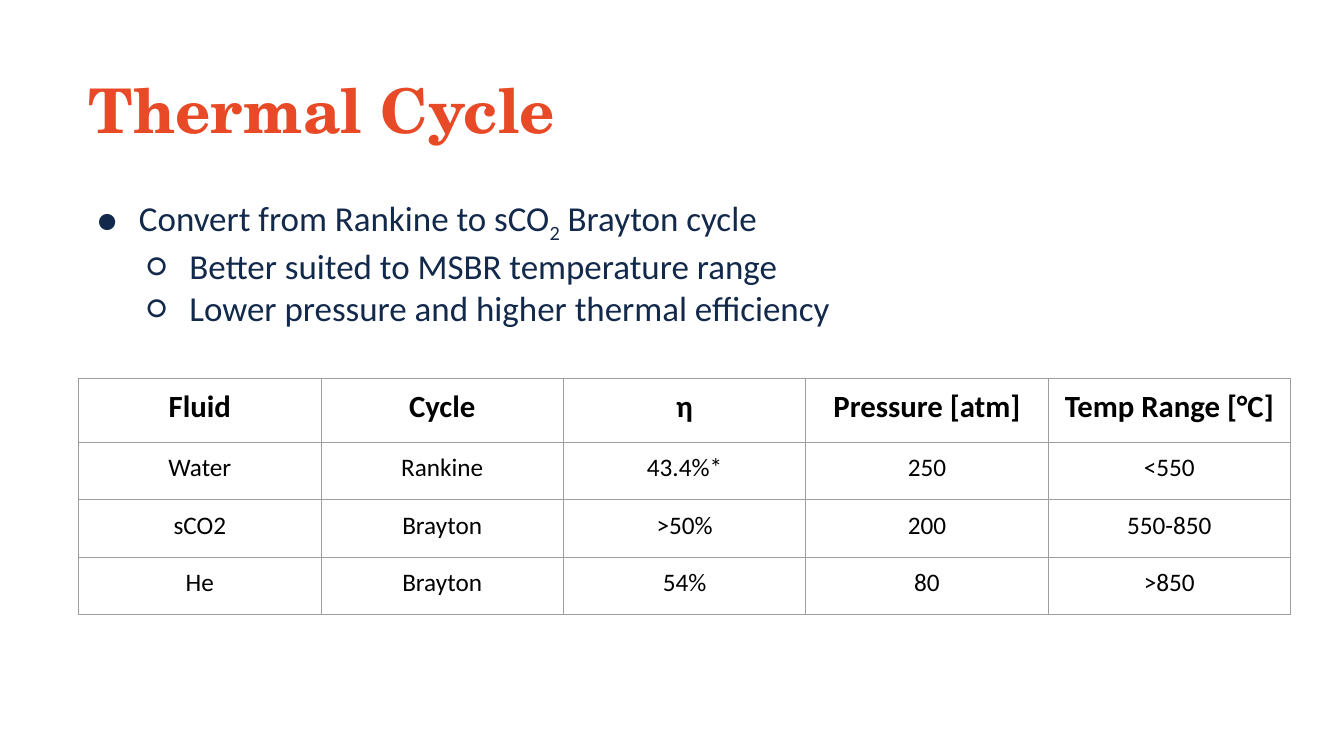
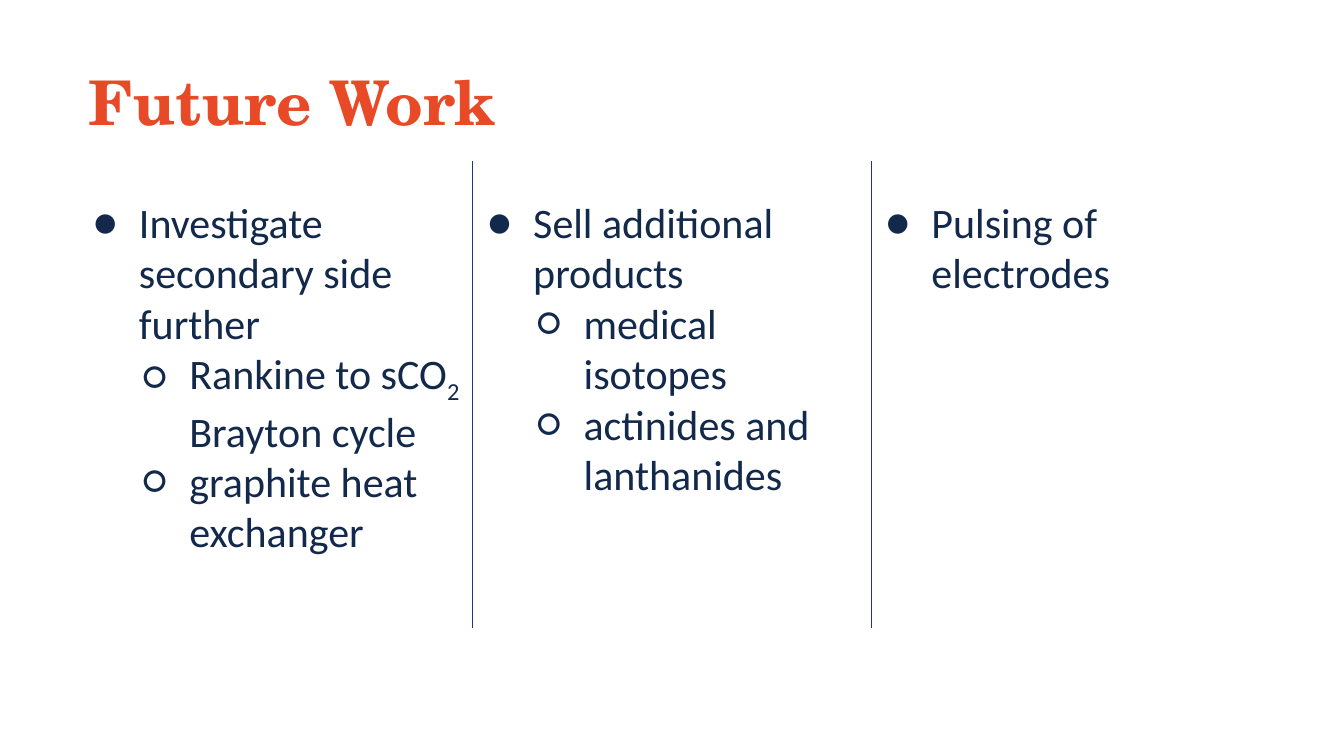
from dataclasses import dataclass

import pptx
import pptx.dml.color
import pptx.enum.shapes
import pptx.enum.text
import pptx.oxml.ns
import pptx.util
from lxml import etree

Inches, Pt = pptx.util.Inches, pptx.util.Pt
qn = pptx.oxml.ns.qn


@dataclass(frozen=True)
class Theme:
    """Colours, fonts and type sizes shared by the slides."""
    title_font: str = "TeX Gyre Schola"
    body_font: str = "Calibri"
    orange: str = "E84A27"
    navy: str = "13294B"
    divider: str = "1E3877"
    black: str = "000000"
    grid: str = "9E9E9E"
    title_size: int = 44
    list_size: int = 25
    column_size: int = 30
    header_size: int = 22
    cell_size: int = 18
    rule_width: float = 0.75


@dataclass(frozen=True)
class Box:
    """A rectangle in inches."""
    left: float
    top: float
    width: float
    height: float

    def emu(self):
        """Return the rectangle as lengths for python-pptx."""
        return [Inches(n) for n in (self.left, self.top, self.width, self.height)]


THEME = Theme()
SLIDE_WIDTH, SLIDE_HEIGHT = 13.33, 7.5
MARGIN, CONTENT_WIDTH, BODY_TOP = 0.78, 12.02, 1.85
BULLETS = "●○"


def rgb(value):
    """Turn a hex string into a colour."""
    return pptx.dml.color.RGBColor.from_string(value)


def style(run, font, size, color, bold=False):
    """Format one run."""
    run.font.name = font
    run.font.size = Pt(size)
    run.font.bold = bold
    run.font.color.rgb = rgb(color)


def add_frame(slide, box, vertical_inset):
    """Add a wrapping text box and return its text frame."""
    frame = slide.shapes.add_textbox(*box.emu()).text_frame
    frame.word_wrap = True
    frame.margin_left = frame.margin_right = Inches(0.1)
    frame.margin_top = frame.margin_bottom = Inches(vertical_inset)
    return frame


def add_title(slide, text, top):
    """Place the slide title."""
    frame = add_frame(slide, Box(MARGIN, top, CONTENT_WIDTH, 1.45), 0.05)
    frame.vertical_anchor = pptx.enum.text.MSO_ANCHOR.MIDDLE
    frame.text = text
    paragraph = frame.paragraphs[0]
    paragraph.line_spacing = 0.9
    style(paragraph.runs[0], THEME.title_font, THEME.title_size, THEME.orange, True)


def set_bullet(paragraph, level, hanging):
    """Give a paragraph the indent and bullet of its level."""
    paragraph.level = level
    properties = paragraph._p.get_or_add_pPr()
    properties.set("marL", str(Inches(0.5 * (level + 1))))
    properties.set("indent", str(-Inches(hanging)))
    color = etree.SubElement(properties, qn("a:buClr"))
    etree.SubElement(color, qn("a:srgbClr"), val=THEME.navy)
    etree.SubElement(properties, qn("a:buFont"), typeface=THEME.body_font)
    etree.SubElement(properties, qn("a:buChar"), char=BULLETS[level])


def add_bullets(slide, box, items, size, hanging):
    """Write (level, text) items, with subscripts between tildes."""
    frame = add_frame(slide, box, 0.1)
    for index, (level, text) in enumerate(items):
        paragraph = frame.add_paragraph() if index else frame.paragraphs[0]
        set_bullet(paragraph, level, hanging)
        for part, words in enumerate(text.split("~")):
            run = paragraph.add_run()
            run.text = words
            style(run, THEME.body_font, size, THEME.navy)
            if part % 2:
                run._r.get_or_add_rPr().set("baseline", "-25000")


def set_borders(cell):
    """Draw all four borders of a table cell."""
    properties = cell._tc.get_or_add_tcPr()
    for side in "LRTB":
        line = etree.SubElement(properties, qn(f"a:ln{side}"), w=str(Pt(THEME.rule_width)))
        fill = etree.SubElement(line, qn("a:solidFill"))
        etree.SubElement(fill, qn("a:srgbClr"), val=THEME.grid)


def fill_cell(cell, text, is_header):
    """Write and format one table cell."""
    set_borders(cell)
    cell.fill.background()
    cell.margin_left = cell.margin_right = Inches(0.1)
    cell.margin_top = cell.margin_bottom = Inches(0.1)
    cell.text_frame.text = text
    paragraph = cell.text_frame.paragraphs[0]
    paragraph.alignment = pptx.enum.text.PP_ALIGN.CENTER
    size = THEME.header_size if is_header else THEME.cell_size
    style(paragraph.runs[0], THEME.body_font, size, THEME.black, is_header)


def add_grid_table(slide, box, rows, header_height):
    """Fill the box with a table of equal columns and equal body rows."""
    table = slide.shapes.add_table(len(rows), len(rows[0]), *box.emu()).table
    table.horz_banding = False
    table.first_row = False
    for column in table.columns:
        column.width = Inches(box.width / len(rows[0]))
    body_height = (box.height - header_height) / (len(rows) - 1)
    for index, values in enumerate(rows):
        table.rows[index].height = Inches(body_height if index else header_height)
        for column, text in enumerate(values):
            fill_cell(table.cell(index, column), text, index == 0)


def add_divider(slide, left, top, bottom):
    """Draw a thin vertical line."""
    line = slide.shapes.add_connector(
        pptx.enum.shapes.MSO_CONNECTOR.STRAIGHT,
        Inches(left), Inches(top), Inches(left), Inches(bottom))
    line.line.color.rgb = rgb(THEME.divider)
    line.line.width = Pt(THEME.rule_width)
    etree.SubElement(line._element.spPr, qn("a:effectLst"))


def add_columns(slide, box, columns):
    """Set bullet lists side by side with dividers between them."""
    width = box.width / len(columns)
    for index, items in enumerate(columns):
        left = box.left + index * width
        text_box = Box(max(left, MARGIN), box.top, width, box.height)
        add_bullets(slide, text_box, items, THEME.column_size, 0.46)
    for index in range(1, len(columns)):
        add_divider(slide, box.left + index * width,
                    box.top - 0.25, box.top + box.height + 0.26)


def build_thermal_cycle(slide):
    """Build the slide that compares thermal cycles."""
    add_title(slide, "Thermal Cycle", 0.4)
    rows = [
        ("Fluid", "Cycle", "η", "Pressure [atm]", "Temp Range [°C]"),
        ("Water", "Rankine", "43.4%*", "250", "<550"),
        ("sCO2", "Brayton", ">50%", "200", "550-850"),
        ("He", "Brayton", "54%", "80", ">850"),
    ]
    add_grid_table(slide, Box(MARGIN, 3.75, CONTENT_WIDTH, 2.35), rows, 0.64)
    items = [
        (0, "Convert from Rankine to sCO~2~ Brayton cycle"),
        (1, "Better suited to MSBR temperature range"),
        (1, "Lower pressure and higher thermal efficiency"),
    ]
    add_bullets(slide, Box(MARGIN, BODY_TOP, CONTENT_WIDTH, 1.9), items,
                THEME.list_size, 0.42)


def build_future_work(slide):
    """Build the slide that lists future work in three columns."""
    add_title(slide, "Future Work", 0.32)
    columns = [
        [(0, "Investigate secondary side further"),
         (1, "Rankine to sCO~2~ Brayton cycle"),
         (1, "graphite heat exchanger")],
        [(0, "Sell additional products"),
         (1, "medical isotopes"),
         (1, "actinides and lanthanides")],
        [(0, "Pulsing of electrodes")],
    ]
    add_columns(slide, Box(0.74, BODY_TOP, 11.85, 4.12), columns)


def main():
    """Build and save the presentation."""
    presentation = pptx.Presentation()
    presentation.slide_width = Inches(SLIDE_WIDTH)
    presentation.slide_height = Inches(SLIDE_HEIGHT)
    blank = presentation.slide_layouts[6]
    for build in (build_thermal_cycle, build_future_work):
        build(presentation.slides.add_slide(blank))
    presentation.save("out.pptx")


if __name__ == "__main__":
    main()
